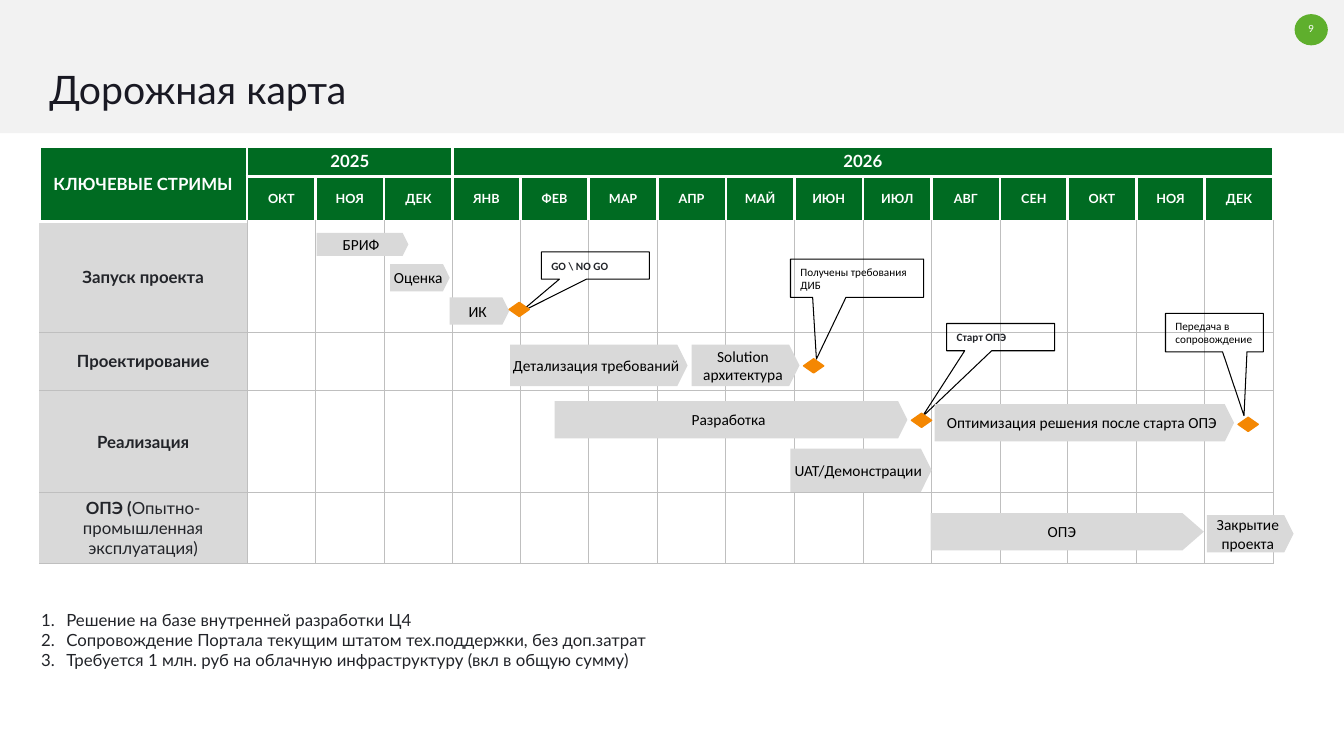
from dataclasses import dataclass

from lxml.etree import SubElement
from pptx import Presentation
from pptx.dml.color import RGBColor
from pptx.enum.shapes import MSO_SHAPE as Shape
from pptx.enum.text import MSO_ANCHOR as Anchor, PP_ALIGN as Align
from pptx.oxml.ns import qn
from pptx.util import Pt

EMU_PER_PX = 9144  # 100 px to the inch
PLAIN_TABLE_STYLE = "{2D5ABB26-0587-4C30-8999-92F81FD0307C}"


@dataclass(frozen=True)
class Theme:
    font: str = "Lato"
    label_font: str = "Calibri"
    band: str = "F2F2F2"
    badge: str = "5FAF2D"
    title: str = "191923"
    text: str = "222429"
    header: str = "006B22"
    bar: str = "D9D9D9"
    grid: str = "BFBFBF"
    milestone: str = "F48702"
    white: str = "FFFFFF"
    black: str = "000000"
    title_size: float = 28
    body_size: float = 12
    bar_size: float = 11
    month_size: float = 9
    note_size: float = 8
    badge_size: float = 7
    header_line: float = 2.25
    thin_line: float = 0.75


def px(*lengths):
    return [length * EMU_PER_PX for length in lengths]


class RoadmapSlide:
    def __init__(self, deck, theme):
        self.theme = theme
        self.slide = deck.slides.add_slide(deck.slide_layouts[6])

    def style(self, para, size, color, bold=False, font=None, align=Align.LEFT):
        para.alignment = align
        for span in para.runs:
            span.font.name = font or self.theme.font
            span.font.size = Pt(size)
            span.font.bold = bold
            span.font.color.rgb = RGBColor.from_string(color)

    def frame(self, shape, text, inset=None, anchor=Anchor.MIDDLE):
        frame = shape.text_frame
        frame.word_wrap = True
        frame.vertical_anchor = anchor
        if inset is not None:
            frame.margin_left = frame.margin_right = inset
            frame.margin_top = frame.margin_bottom = inset
        frame.text = text
        return frame.paragraphs

    def shape(self, kind, at, fill=None, line=None, width=1, adjust=()):
        shape = self.slide.shapes.add_shape(kind, *px(*at))
        shape.shadow.inherit = False
        for index, value in enumerate(adjust):
            shape.adjustments[index] = value
        if fill:
            shape.fill.solid()
            shape.fill.fore_color.rgb = RGBColor.from_string(fill)
        else:
            shape.fill.background()
        if line:
            shape.line.color.rgb = RGBColor.from_string(line)
            shape.line.width = Pt(width)
        else:
            shape.line.fill.background()
        return shape

    def text(self, at, text, size, color, align=Align.LEFT, inset=0, anchor=Anchor.TOP):
        box = self.slide.shapes.add_textbox(*px(*at))
        paras = self.frame(box, text, inset, anchor)
        for para in paras:
            self.style(para, size, color, align=align)
        return paras

    def numbered_list(self, at, items):
        indent, = px(25)
        for para in self.text(at, "\n".join(items), self.theme.body_size,
                              self.theme.text, inset=None):
            props = para._p.get_or_add_pPr()
            props.set("marL", str(indent))
            props.set("indent", str(-indent))
            SubElement(props, qn("a:buFont"), typeface="+mj-lt")
            SubElement(props, qn("a:buAutoNum"), type="arabicPeriod")

    def bar(self, at, text, point=0.248):
        shape = self.shape(Shape.PENTAGON, at, self.theme.bar, adjust=[point])
        para, = self.frame(shape, text, 0)
        self.style(para, self.theme.bar_size, self.theme.black,
                   font=self.theme.label_font, align=Align.CENTER)

    def callout(self, at, text, tip, bold):
        theme = self.theme
        shape = self.shape(Shape.RECTANGULAR_CALLOUT, at, line=theme.black,
                           width=theme.thin_line, adjust=tip)
        para, = self.frame(shape, text)
        self.style(para, theme.note_size, theme.text if bold else theme.black,
                   bold, theme.label_font)

    def milestone(self, left, top):
        self.shape(Shape.FLOWCHART_SORT, (left, top, 20, 14),
                   self.theme.milestone, self.theme.milestone)

    def cell(self, cell, text, fill, border, width, sides, size, color):
        """Borders go in before the fill, as the cell's XML order demands."""
        props = cell._tc.get_or_add_tcPr()
        for side in sides:
            line = SubElement(props, qn(f"a:ln{side}"), w=str(Pt(width)))
            SubElement(SubElement(line, qn("a:solidFill")), qn("a:srgbClr"), val=border)
        if fill:
            cell.fill.solid()
            cell.fill.fore_color.rgb = RGBColor.from_string(fill)
        else:
            cell.fill.background()
        cell.vertical_anchor = Anchor.MIDDLE
        cell.text_frame.text = text
        self.style(cell.text_frame.paragraphs[0], size, color, True, align=Align.CENTER)

    def schedule(self, left, top, edges, heights, years, months, corner, streams):
        theme = self.theme
        shape = self.slide.shapes.add_table(
            len(heights), len(edges), *px(left, top, edges[-1] - left, sum(heights)))
        table = shape.table
        table.first_row = table.horz_banding = False
        table._tbl.tblPr.find(qn("a:tableStyleId")).text = PLAIN_TABLE_STYLE
        for column, start, end in zip(table.columns, [left, *edges], edges):
            column.width, = px(end - start)
        for row, height in zip(table.rows, heights):
            row.height, = px(height)

        year_row = [corner] + [""] * len(months)
        first = 1
        for year, count in years:
            year_row[first] = year
            table.cell(0, first).merge(table.cell(0, first + count - 1))
            first += count
        table.cell(0, 0).merge(table.cell(1, 0))
        for r, texts in enumerate([year_row, ["", *months]]):
            size = theme.month_size if r else theme.body_size
            for c, text in enumerate(texts):
                self.cell(table.cell(r, c), text, theme.header, theme.white,
                          theme.header_line, "LRT" if r else "LRTB", size, theme.white)
        for r, stream in enumerate(streams, 2):
            for c in range(len(edges)):
                self.cell(table.cell(r, c), "" if c else stream, None if c else theme.bar,
                          theme.grid, theme.thin_line, "LRB" if c else "RB",
                          theme.body_size, theme.text)
        return table


YEARS = [("2025", 3), ("2026", 12)]
MONTHS = "ОКТ НОЯ ДЕК ЯНВ ФЕВ МАР АПР МАЙ ИЮН ИЮЛ АВГ СЕН ОКТ НОЯ ДЕК".split()
STREAMS = ["Запуск проекта", "Проектирование", "Реализация", "ОПЭ ("]
CALLOUTS = [
    ((537, 250, 107, 27), "GO \\ NO GO", (-0.699, 1.724), True),
    ((784, 257, 132, 38), "Получены требования ДИБ", (-0.305, 2.112), False),
    ((939, 321, 107, 27), "Старт ОПЭ", (-0.73, 2.941), True),
    ((1156, 311, 97, 38), "Передача в сопровождение", (0.303, 2.169), False),
]
BARS = [
    ((314, 231, 91, 23), "БРИФ"),
    ((387, 262, 59, 27), "Оценка"),
    ((446, 295, 59, 27), "ИК"),
    ((506, 342, 176, 41), "Детализация требований"),
    ((686, 342, 107, 41), "Solution архитектура"),
    ((550, 398, 350, 37), "Разработка"),
    ((927, 401, 297, 37), "Оптимизация решения после старта ОПЭ"),
    ((784, 445, 140, 43), "UAT/Демонстрации"),
    ((923, 509, 271, 37), "ОПЭ", 0.574),
    ((1197, 511, 86, 37), "Закрытие проекта"),
]
MILESTONES = [(505, 300), (797, 356), (904, 410), (1228, 414)]
NOTES = [
    "Решение на базе внутренней разработки Ц4",
    "Сопровождение Портала текущим штатом тех.поддержки, без доп.затрат",
    "Требуется 1 млн. руб на облачную инфраструктуру (вкл в общую сумму)",
]


def main():
    deck = Presentation()
    deck.slide_width, deck.slide_height = px(1333, 750)
    theme = Theme()
    page = RoadmapSlide(deck, theme)
    page.shape(Shape.RECTANGLE, (0, 0, 1333, 132), theme.band)
    page.shape(Shape.OVAL, (1284, 14, 33, 31), theme.badge)
    page.text((1283, 22, 35, 13), "9", theme.badge_size, theme.white, Align.CENTER,
              anchor=Anchor.MIDDLE)
    title, = page.text((49, 56, 1042, 52), "Дорожная карта", theme.title_size, theme.title)
    title.line_spacing = Pt(40)
    page.numbered_list((31, 600, 1240, 71), NOTES)

    edges = [245 + round(1018 * i / len(MONTHS)) for i in range(len(MONTHS) + 1)]
    table = page.schedule(39, 145, edges, [30, 45, 110, 57, 102, 69],
                          YEARS, MONTHS, "КЛЮЧЕВЫЕ СТРИМЫ", STREAMS)
    pilot = table.cell(5, 0).text_frame.paragraphs[0]
    pilot.add_run().text = "Опытно- промышленная эксплуатация)"
    page.style(pilot, theme.body_size, theme.text, align=Align.CENTER)
    pilot.runs[0].font.bold = True

    for callout in CALLOUTS:
        page.callout(*callout)
    for bar in BARS:
        page.bar(*bar)
    for milestone in MILESTONES:
        page.milestone(*milestone)
    deck.save("out.pptx")


if __name__ == "__main__":
    main()
